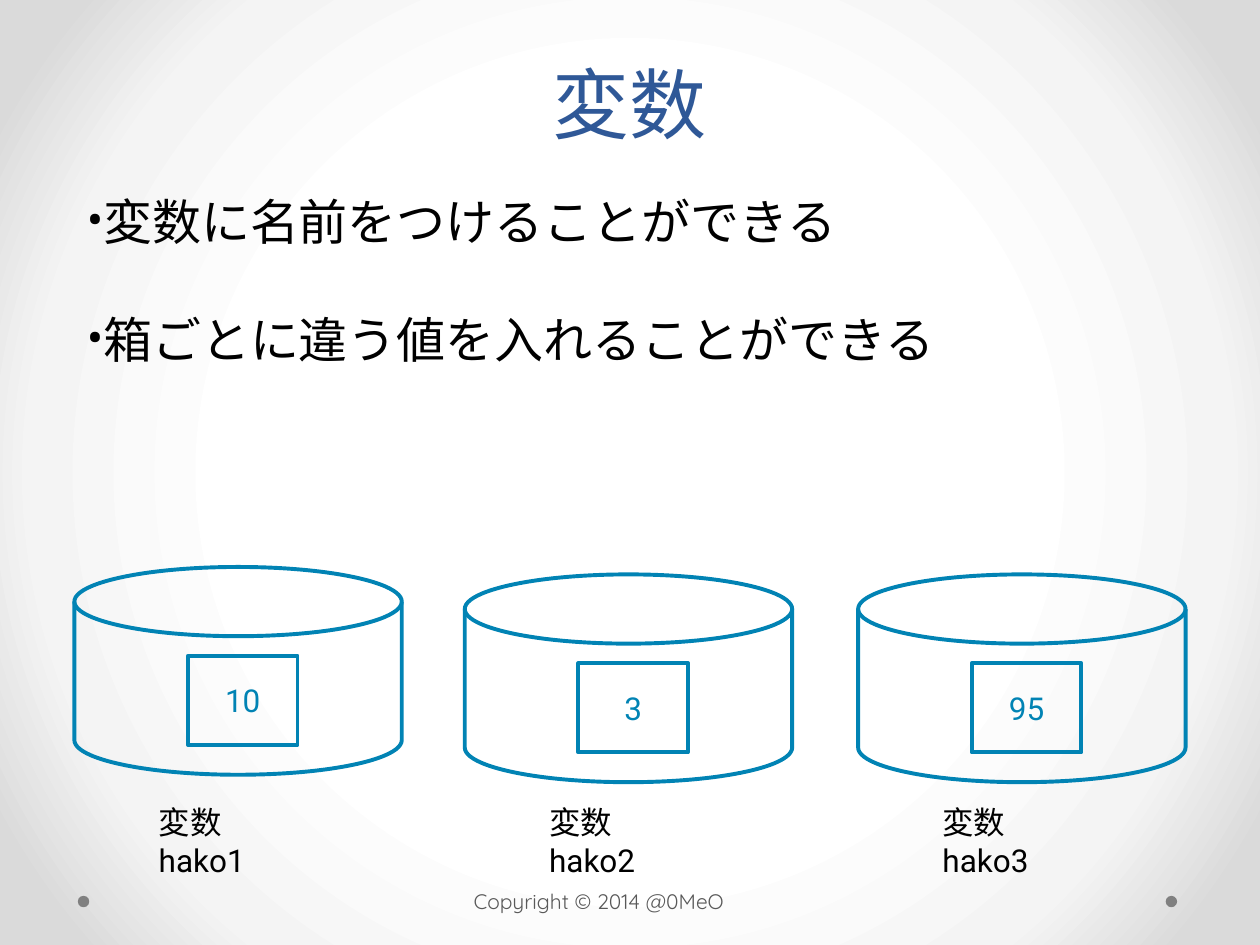
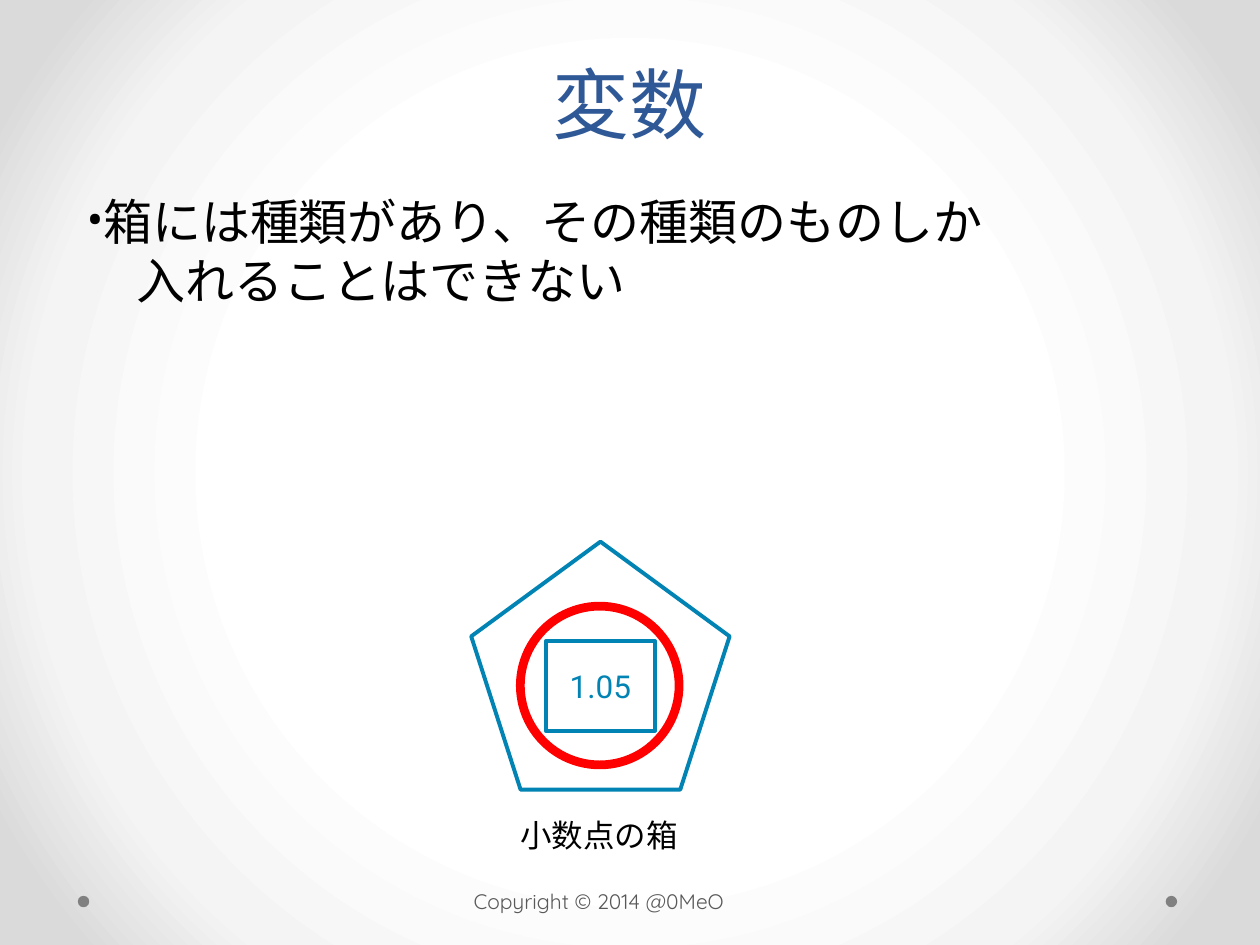
from pptx import Presentation
from pptx.dml.color import RGBColor
from pptx.enum.shapes import MSO_SHAPE
from pptx.enum.text import MSO_ANCHOR, PP_ALIGN
from pptx.oxml import parse_xml
from pptx.oxml.ns import nsdecls, qn
from pptx.util import Cm, Pt
from lxml import etree

CENTER, LEFT = PP_ALIGN.CENTER, PP_ALIGN.LEFT
TOP, MIDDLE, BOTTOM = MSO_ANCHOR.TOP, MSO_ANCHOR.MIDDLE, MSO_ANCHOR.BOTTOM
OVAL, RECTANGLE = MSO_SHAPE.OVAL, MSO_SHAPE.RECTANGLE
CYLINDER = MSO_SHAPE.FLOWCHART_MAGNETIC_DISK
PENTAGON = MSO_SHAPE.REGULAR_PENTAGON

COLORS = {
    "title": "2F5897",
    "text": "000000",
    "box": "0183B4",
    "ring": "FF0000",
    "dot": "808080",
    "footer": "595959",
}
BACKGROUND_STOPS = [(50, "FFFFFF"), (76, "F4F4F4"), (92, "DADADA")]
BODY_FONT, FOOTER_FONT = "Roboto", "Quicksand"


class Deck:
    def __init__(self):
        self.presentation = Presentation()
        self.presentation.slide_width = Cm(25.4)
        self.presentation.slide_height = Cm(19.05)
        self.slide = None

    def add_slide(self, title):
        layout = self.presentation.slide_layouts[6]
        self.slide = self.presentation.slides.add_slide(layout)
        self.background()
        for left in (23.5, 1.57):
            self.shape(OVAL, left, 18.06, 0.23, 0.23, fill="dot")
        self.text(["Copyright © 2014 @0MeO"], 9.3, 17.78, 5.84, 0.76,
                  12, "footer", FOOTER_FONT)
        frame = self.text([title], 1.27, 0.61, 22.86, 2.51, 44, "title",
                          align=CENTER, anchor=BOTTOM)
        frame.paragraphs[0].line_spacing = Pt(58)

    def background(self):
        stops = "".join(
            f'<a:gs pos="{position * 1000}"><a:srgbClr val="{color}"/></a:gs>'
            for position, color in BACKGROUND_STOPS)
        self.slide.element.cSld.insert(0, parse_xml(
            f'<p:bg {nsdecls("p", "a")}><p:bgPr><a:gradFill rotWithShape="1">'
            f'<a:gsLst>{stops}</a:gsLst><a:path path="circle">'
            '<a:fillToRect l="50000" t="50000" r="50000" b="50000"/></a:path>'
            '</a:gradFill><a:effectLst/></p:bgPr></p:bg>'))

    def add_run(self, paragraph, text, size, color, font=BODY_FONT):
        run = paragraph.add_run()
        run.text = text
        run.font.size = Pt(size)
        run.font.name = font
        run.font.color.rgb = RGBColor.from_string(COLORS[color])
        east_asian = etree.SubElement(run.font._element, qn("a:ea"))
        east_asian.set("typeface", font)

    def text(self, lines, left, top, width, height, size, color,
             font=BODY_FONT, align=LEFT, anchor=TOP):
        box = self.slide.shapes.add_textbox(Cm(left), Cm(top), Cm(width), Cm(height))
        frame = box.text_frame
        frame.word_wrap = True
        frame.vertical_anchor = anchor
        paragraph = frame.paragraphs[0]
        paragraph.alignment = align
        for index, line in enumerate(lines):
            if index:
                paragraph.add_line_break()
            self.add_run(paragraph, line, size, color, font)
        return frame

    def body(self, lines, width, height, gap=0):
        frame = self.text([], 1.5, 3.73, width, height, 28, "text")
        for index, (line, bulleted) in enumerate(lines):
            paragraph = frame.add_paragraph() if index else frame.paragraphs[0]
            paragraph.space_before = Pt(gap if index else 0)
            self.add_run(paragraph, line, 28, "text")
            properties = paragraph._p.get_or_add_pPr()
            properties.set("marL", str(Cm(0.33 if bulleted else 1)))
            if bulleted:
                properties.set("indent", str(-Cm(0.33)))
                font = etree.SubElement(properties, qn("a:buFont"))
                font.set("typeface", BODY_FONT)
                bullet = etree.SubElement(properties, qn("a:buChar"))
                bullet.set("char", "•")

    def shape(self, kind, left, top, width, height, fill=None, line=None, weight=2.25):
        shape = self.slide.shapes.add_shape(kind, Cm(left), Cm(top), Cm(width), Cm(height))
        shape.shadow.inherit = False
        if fill:
            shape.fill.solid()
            shape.fill.fore_color.rgb = RGBColor.from_string(COLORS[fill])
        else:
            shape.fill.background()
        if line:
            shape.line.color.rgb = RGBColor.from_string(COLORS[line])
            shape.line.width = Pt(weight)
        else:
            shape.line.fill.background()
        return shape

    def value(self, text, left, top):
        shape = self.shape(RECTANGLE, left, top, 2.21, 1.8, line="box")
        shape.text_frame.vertical_anchor = MIDDLE
        paragraph = shape.text_frame.paragraphs[0]
        paragraph.alignment = CENTER
        self.add_run(paragraph, text, 18, "box")

    def label(self, lines, left, top):
        self.text(lines, left, top, 3.7, 1.02, 18, "text")

    def variable(self, name, value, left, top):
        self.shape(CYLINDER, left, top, 6.6, 4.19, line="box")
        self.value(value, left + 2.29, top + 1.79)
        self.label(["変数", name], left + 1.45, 16.06)


deck = Deck()

deck.add_slide("変数")
deck.body([("変数に名前をつけることができる", True),
           ("箱ごとに違う値を入れることができる", True)], 18.47, 3.84, gap=34)
for name, value, left, top in [("hako1", "10", 1.5, 11.43),
                               ("hako2", "3", 9.37, 11.58),
                               ("hako3", "95", 17.3, 11.58)]:
    deck.variable(name, value, left, top)

deck.add_slide("変数")
deck.body([("箱には種類があり、その種類のものしか", True),
           ("入れることはできない", False)], 19.46, 2.64)
deck.label(["小数点の箱"], 10.24, 16.33)
deck.shape(PENTAGON, 9.5, 10.92, 5.21, 5, line="box")
deck.value("1.05", 11, 12.93)
deck.shape(OVAL, 10.49, 12.22, 3.2, 3.2, line="ring", weight=5)

deck.presentation.save("out.pptx")
